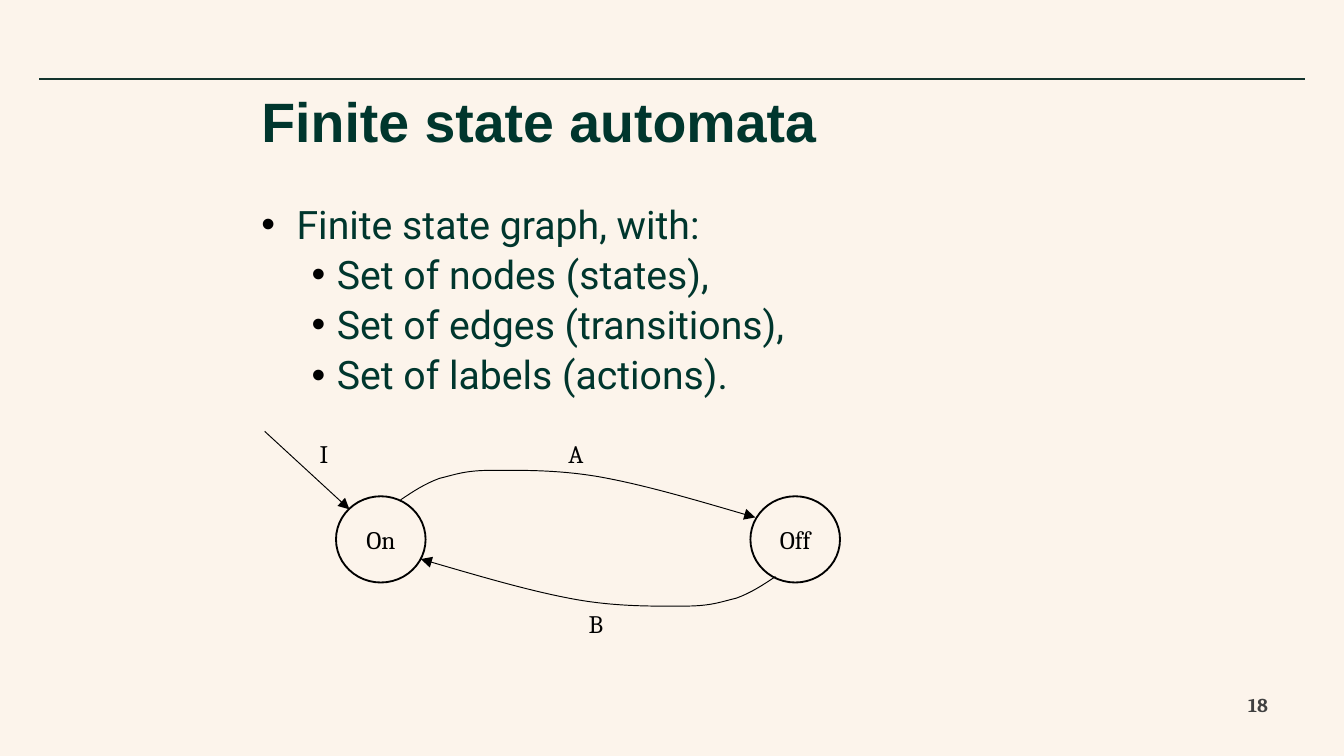
import pptx
import pptx.util
import pptx.dml.color
import pptx.enum.shapes
import pptx.enum.text
import pptx.oxml.ns
from lxml import etree

Pt = pptx.util.Pt
qn = pptx.oxml.ns.qn
ANCHOR = pptx.enum.text.MSO_ANCHOR
ALIGN = pptx.enum.text.PP_ALIGN
COLORS = {"background": "FCF4EB", "rule": "13342D", "heading": "00362D",
          "ink": "000000", "number": "404040"}


def style_text(paragraph, font, size, color, bold=False):
    paragraph.font.name = font
    paragraph.font.size = Pt(size)
    paragraph.font.bold = bold
    paragraph.font.color.rgb = pptx.dml.color.RGBColor.from_string(COLORS[color])


def style_line(shape, color, width, arrow=False):
    shape.line.color.rgb = pptx.dml.color.RGBColor.from_string(COLORS[color])
    shape.line.width = Pt(width)
    properties = shape._element.spPr
    if arrow:
        etree.SubElement(properties.find(qn("a:ln")), qn("a:tailEnd"), type="triangle")
    etree.SubElement(properties, qn("a:effectLst"))


deck = pptx.Presentation()
deck.slide_width, deck.slide_height = Pt(720), Pt(405)
slide = deck.slides.add_slide(deck.slide_layouts[5])
slide.background.fill.solid()
slide.background.fill.fore_color.rgb = pptx.dml.color.RGBColor.from_string(COLORS["background"])
shapes = slide.shapes
STRAIGHT = pptx.enum.shapes.MSO_CONNECTOR.STRAIGHT

header_rule = shapes.add_connector(STRAIGHT, Pt(21), Pt(42.5), Pt(699), Pt(42.5))
style_line(header_rule, "rule", 1)

title = shapes.title
title.left, title.top, title.width, title.height = Pt(134.6), Pt(46.8), Pt(347.8), Pt(39.6)
title.text_frame.text = "Finite state automata"
title.text_frame.auto_size = pptx.enum.text.MSO_AUTO_SIZE.NONE
title.text_frame.paragraphs[0].alignment = ALIGN.LEFT
title.text_frame.paragraphs[0].line_spacing = 0.9
style_text(title.text_frame.paragraphs[0], "Arial", 29.7, "heading", True)

definition = shapes.add_textbox(Pt(134.6), Pt(107.3), Pt(347.8), Pt(123.8))
page_number = shapes.add_textbox(Pt(566.6), Pt(370.1), Pt(118.1), Pt(15.1))
for box, anchor in ((title, ANCHOR.MIDDLE), (definition, ANCHOR.TOP),
                    (page_number, ANCHOR.MIDDLE)):
    frame = box.text_frame
    frame.word_wrap = True
    frame.vertical_anchor = anchor
    frame.margin_left = frame.margin_right = Pt(5.4)
    frame.margin_top = frame.margin_bottom = Pt(2.7)

points = [("Finite state graph, with:", 0, 18.9, 18.9),
          ("Set of nodes (states),", 1, 40.5, 13.5),
          ("Set of edges (transitions),", 1, 40.5, 13.5),
          ("Set of labels (actions).", 1, 40.5, 13.5)]
for index, (wording, level, margin, hanging) in enumerate(points):
    point = definition.text_frame.paragraphs[0] if index == 0 else definition.text_frame.add_paragraph()
    point.text = wording
    point.level = level
    point.line_spacing = 0.9
    if index:
        point.space_before = Pt(4.2)
    layout = point._p.get_or_add_pPr()
    layout.set("marL", str(Pt(margin)))
    layout.set("indent", str(-Pt(hanging)))
    bullet_color = etree.SubElement(layout, qn("a:buClr"))
    etree.SubElement(bullet_color, qn("a:srgbClr"), val=COLORS["ink"])
    etree.SubElement(layout, qn("a:buFont"), typeface="Arial")
    etree.SubElement(layout, qn("a:buChar"), char="•")
    style_text(point, "Roboto", 21, "heading")

page_number.text_frame.text = "18"
page_number.text_frame.paragraphs[0].alignment = ALIGN.RIGHT
style_text(page_number.text_frame.paragraphs[0], "Cambria", 10.5, "number", True)

for state_name, left in (("On", 180), ("Off", 402)):
    state = shapes.add_shape(pptx.enum.shapes.MSO_SHAPE.OVAL, Pt(left), Pt(265.9), Pt(48), Pt(46.2))
    state.fill.background()
    style_line(state, "ink", 1)
    frame = state.text_frame
    frame.text = state_name
    frame.word_wrap = False
    frame.vertical_anchor = ANCHOR.MIDDLE
    frame.paragraphs[0].alignment = ALIGN.CENTER
    style_text(frame.paragraphs[0], "Cambria", 13.5, "ink")

on_to_off = [(214.6, 267.8), (221, 263.5), (227.5, 259.2), (235.4, 256.3),
             (244.1, 254.2), (249.1, 252), (263.5, 252),
             (277.9, 252), (298.8, 251.5), (321.8, 255.6),
             (345.6, 259.9), (375.1, 268.6), (404.6, 277.2)]
off_to_on = [(630 - x, 576.7 - y) for x, y in on_to_off]
for route in (on_to_off, off_to_on):
    start, *controls = [(Pt(x), Pt(y)) for x, y in route]
    builder = shapes.build_freeform(*start)
    builder.add_line_segments(controls, close=False)
    transition = builder.convert_to_shape()
    outline = next(transition._element.iter(qn("a:path")))
    segments = outline.findall(qn("a:lnTo"))
    for first in range(0, len(segments), 3):
        curve = etree.SubElement(outline, qn("a:cubicBezTo"))
        for segment in segments[first:first + 3]:
            curve.append(segment[0])
            outline.remove(segment)
    transition.fill.background()
    style_line(transition, "ink", 0.5, arrow=True)

initial_arrow = shapes.add_connector(STRAIGHT, Pt(141.8), Pt(231.1), Pt(187.2), Pt(272.9))
style_line(initial_arrow, "ink", 0.5, arrow=True)

for action, left, top, width in (("A", 297.4, 231.1, 23), ("B", 308.2, 322.6, 23),
                                 ("I", 164.2, 231.1, 18.7)):
    label = shapes.add_textbox(Pt(left), Pt(top), Pt(width), Pt(23.8))
    label.text_frame.text = action
    label.text_frame.word_wrap = False
    style_text(label.text_frame.paragraphs[0], "Cambria", 13.5, "ink")

deck.save("out.pptx")
